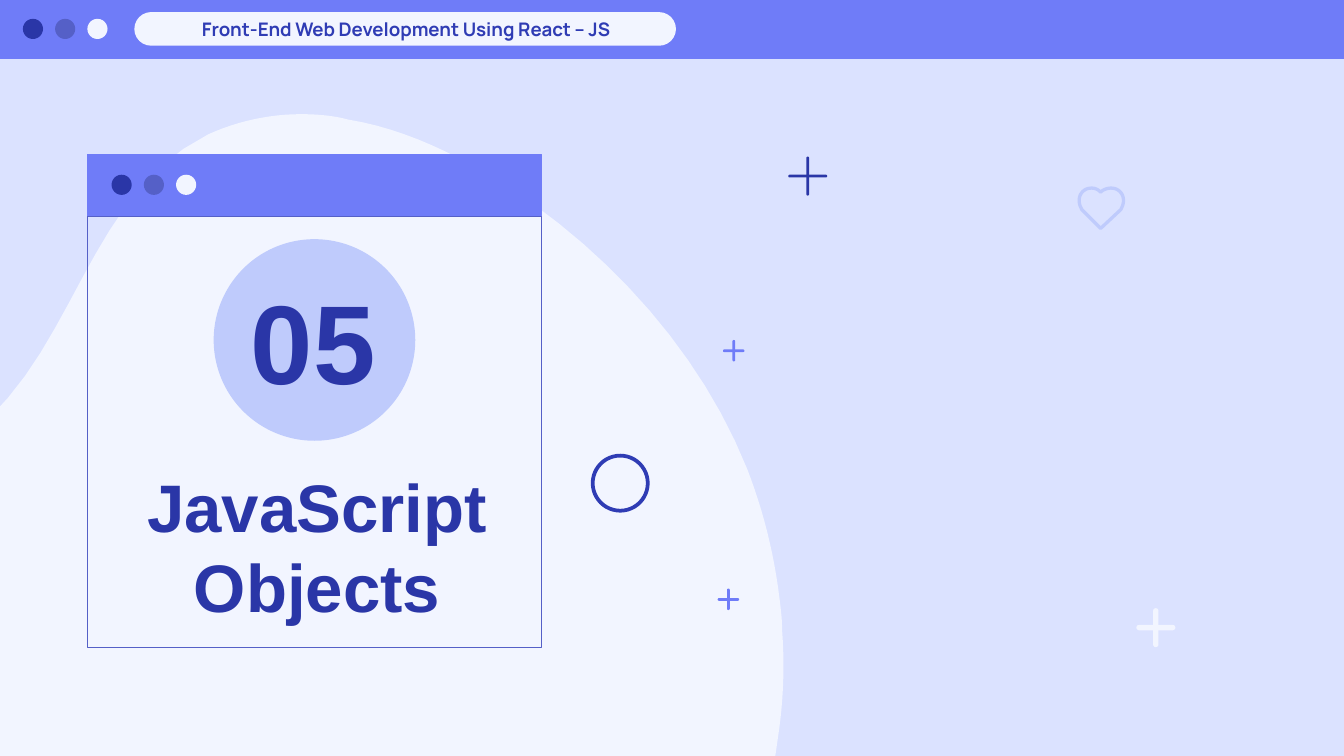
"""Build the section opener slide for JavaScript Objects."""
from pptx import Presentation
from pptx.dml.color import RGBColor
from pptx.enum.shapes import MSO_SHAPE
from pptx.enum.text import MSO_ANCHOR, MSO_AUTO_SIZE, PP_ALIGN
from pptx.util import Inches, Pt

RECTANGLE, OVAL, ROUNDED = MSO_SHAPE.RECTANGLE, MSO_SHAPE.OVAL, MSO_SHAPE.ROUNDED_RECTANGLE
BOTTOM, MIDDLE = MSO_ANCHOR.BOTTOM, MSO_ANCHOR.MIDDLE
NO_FIT, CENTER = MSO_AUTO_SIZE.NONE, PP_ALIGN.CENTER

COLORS = {
    "sky": "DBE2FF", "pale": "F2F5FF", "violet": "6F7CF8", "navy": "2A36A7",
    "slate": "5560C7", "light": "BFCBFC", "ink": "2F3CB4",
}
BLOB = [
    (2.01, 0.85, 1.77, 0.9, 1.55, 1), (0.76, 1.39, 0.6, 2.33, 0.06, 2.96),
    (-0.15, 3.2, -0.42, 3.39, -0.68, 3.58), (-1.14, 3.91, -1.56, 4.31, -1.76, 4.84),
    (-1.94, 5.31, -1.96, 5.86, -1.84, 6.35), (-1.54, 7.63, -0.3, 8.54, 0.93, 8.82),
    (1.22, 8.88, 1.51, 8.92, 1.8, 8.92), (3.23, 8.92, 4.63, 8.13, 5.34, 6.86),
    (5.57, 6.43, 5.73, 5.96, 5.79, 5.48), (5.83, 5.22, 5.84, 4.95, 5.82, 4.69),
    (5.82, 4.61, 5.81, 4.53, 5.8, 4.45), (5.76, 4.12, 5.68, 3.8, 5.56, 3.49),
    (5.22, 2.64, 4.56, 1.9, 3.78, 1.39), (3.42, 1.16, 3.02, 0.96, 2.59, 0.89),
    (2.48, 0.86, 2.36, 0.85, 2.24, 0.85),
]
HEART = [
    (8.21, 1.41, 8.24, 1.4, 8.27, 1.4), (8.32, 1.4, 8.36, 1.44, 8.36, 1.49),
    (8.36, 1.52, 8.35, 1.54, 8.34, 1.56), (8.19, 1.7), (8.05, 1.56),
    (8.04, 1.54, 8.03, 1.52, 8.03, 1.49), (8.03, 1.44, 8.07, 1.4, 8.12, 1.4),
    (8.15, 1.4, 8.17, 1.41, 8.19, 1.43),
]
CURVE_STEPS = 12

deck = Presentation()
deck.slide_width = Inches(10)
deck.slide_height = deck.slide_width * 9 // 16
page = deck.slides.add_slide(deck.slide_layouts[0])
page.background.fill.solid()
page.background.fill.fore_color.rgb = RGBColor.from_string(COLORS["sky"])


def paint(shape, fill=None, line=None, weight=0.75):
    shape.shadow.inherit = False
    if fill:
        shape.fill.solid()
        shape.fill.fore_color.rgb = RGBColor.from_string(COLORS[fill])
    else:
        shape.fill.background()
    if line:
        shape.line.color.rgb = RGBColor.from_string(COLORS[line])
        shape.line.width = Pt(weight)
    else:
        shape.line.fill.background()


def draw_outline(start, segments):
    points, (x, y) = [], start
    for segment in segments:
        if len(segment) == 2:
            points.append(segment)
        else:
            x1, y1, x2, y2, x3, y3 = segment
            for step in range(1, CURVE_STEPS + 1):
                t = step / CURVE_STEPS
                a, b, c, d = (1 - t) ** 3, 3 * t * (1 - t) ** 2, 3 * t * t * (1 - t), t ** 3
                points.append((a * x + b * x1 + c * x2 + d * x3,
                               a * y + b * y1 + c * y2 + d * y3))
        x, y = segment[-2:]
    builder = page.shapes.build_freeform(Inches(start[0]), Inches(start[1]))
    builder.add_line_segments([(Inches(px), Inches(py)) for px, py in points])
    return builder.convert_to_shape()


paint(draw_outline((2.24, 0.85), BLOB), "pale")

for kind, left, top, width, height, fill, line in [
    (RECTANGLE, -0.02, -0.02, 10.04, 0.46, "violet", None),
    (ROUNDED, 1, 0.09, 4.03, 0.25, "pale", None),
    (RECTANGLE, 0.65, 1.15, 3.38, 0.46, "violet", "violet"),
    (RECTANGLE, 0.65, 1.61, 3.38, 3.21, None, "slate"),
    (OVAL, 1.59, 1.78, 1.5, 1.5, "light", None),
]:
    panel = page.shapes.add_shape(kind, Inches(left), Inches(top), Inches(width), Inches(height))
    paint(panel, fill, line)
    if kind == ROUNDED:
        panel.adjustments[0] = 0.5

for left, top in [(0.17, 0.14), (0.83, 1.3)]:
    for index, color in enumerate(["navy", "slate", "pale"]):
        paint(page.shapes.add_shape(OVAL, Inches(left + 0.24 * index), Inches(top),
                                    Inches(0.15), Inches(0.15)), color)

for x, y, length, thickness, color in [
    (8.6, 4.67, 0.29, 0.04, "pale"), (5.46, 2.61, 0.16, 0.02, "violet"),
    (6.01, 1.31, 0.29, 0.02, "navy"), (5.42, 4.46, 0.16, 0.02, "violet"),
]:
    for width, height in [(thickness, length), (length, thickness)]:
        bar = page.shapes.add_shape(ROUNDED, Inches(x - width / 2), Inches(y - height / 2),
                                    Inches(width), Inches(height))
        bar.adjustments[0] = 0.5
        paint(bar, color)

paint(draw_outline((8.19, 1.43), HEART), line="light", weight=1.75)
ring = page.shapes.add_shape(OVAL, Inches(4.41), Inches(3.39), Inches(0.41), Inches(0.41))
paint(ring, line="ink", weight=2)

title, course = page.shapes.title, page.placeholders[1]
number = page.shapes.add_textbox(Inches(1.66), Inches(2.03), Inches(1.34), Inches(1))
for box, place, words, anchor, font, size, color in [
    (title, (0.46, 3.45, 3.8, 1.21), "JavaScript Objects", BOTTOM, "Arial", 36, "navy"),
    (number, (1.66, 2.03, 1.34, 1), "05", BOTTOM, "Arial", 60, "navy"),
    (course, (1.13, 0.09, 3.78, 0.25), "Front-End Web Development Using React – JS",
     MIDDLE, "Manrope", 10, "ink"),
]:
    page.shapes.element.append(box.element)
    box.left, box.top, box.width, box.height = [Inches(value) for value in place]
    frame = box.text_frame
    frame.text = words
    frame.word_wrap = True
    frame.auto_size = NO_FIT
    frame.vertical_anchor = anchor
    frame.margin_left = frame.margin_right = Inches(0.1)
    frame.margin_top = frame.margin_bottom = Inches(0)
    para = frame.paragraphs[0]
    para.alignment = CENTER
    para.space_before = Pt(0)
    para.font.name, para.font.size, para.font.bold = font, Pt(size), True
    para.font.color.rgb = RGBColor.from_string(COLORS[color])

deck.save("out.pptx")
